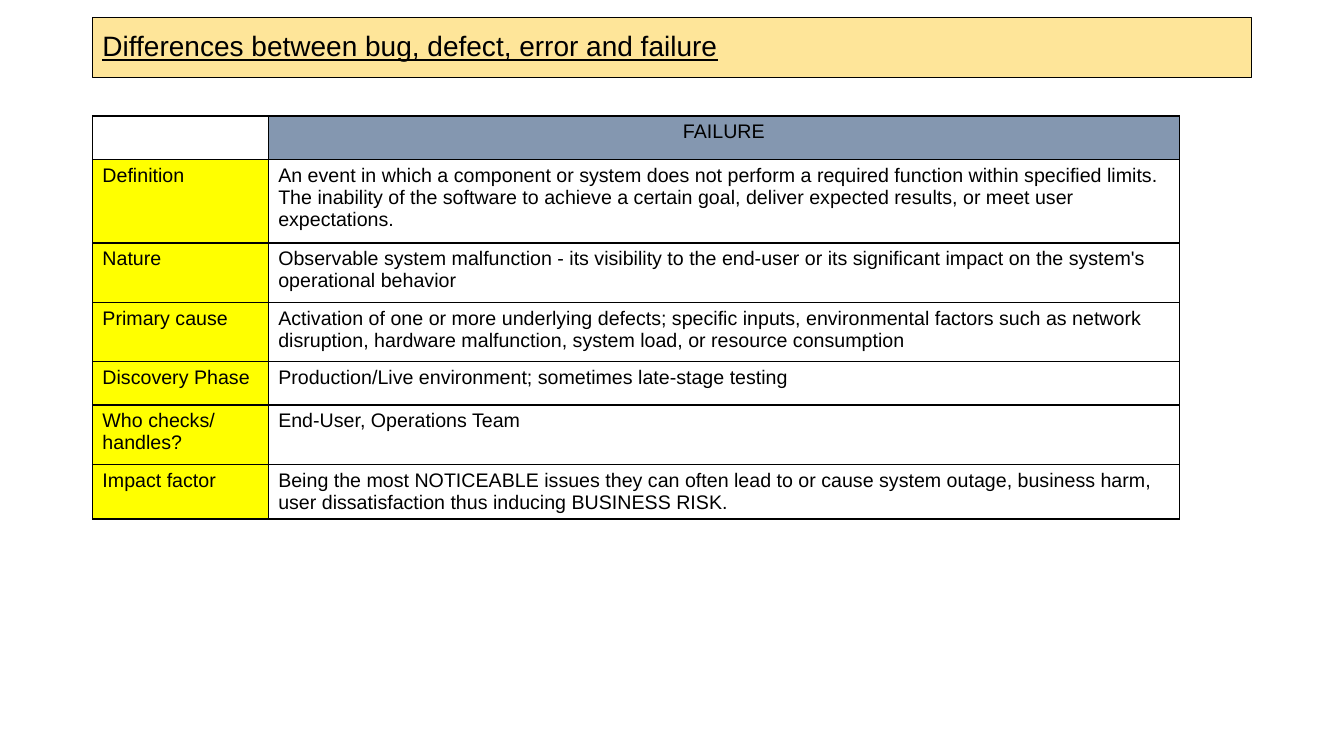
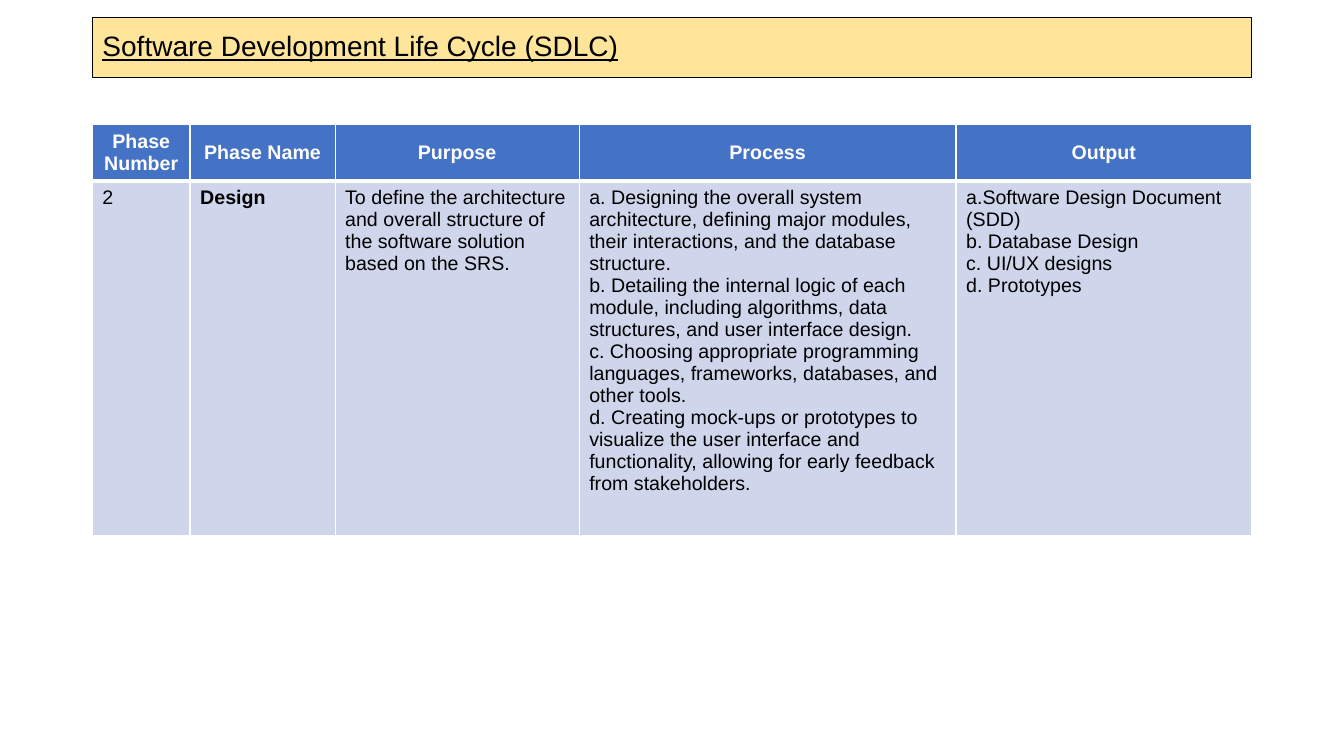
from lxml import etree
from pptx import Presentation
from pptx.dml.color import RGBColor
from pptx.enum import text
from pptx.oxml import ns
from pptx.util import Pt

FONT = "Arial"
BLACK, WHITE = "000000", "FFFFFF"
BANNER, SLATE, YELLOW = "FEE599", "8497B0", "FFFF00"
BLUE, PALE_BLUE = "4472C4", "CFD5EA"
LEFT, WIDTH = 66, 828
TITLE_BOX = (LEFT, 12.4, WIDTH, 43.2)

FAILURE_ROWS = [
    ("", "FAILURE"),
    ("Definition", "An event in which a component or system does not perform a required function "
     "within specified limits. The inability of the software to achieve a certain goal, deliver "
     "expected results, or meet user expectations."),
    ("Nature", "Observable system malfunction - its visibility to the end-user or its significant "
     "impact on the system's operational behavior"),
    ("Primary cause", "Activation of one or more underlying defects; specific inputs, environmental "
     "factors such as network disruption, hardware malfunction, system load, or resource consumption"),
    ("Discovery Phase", "Production/Live environment; sometimes late-stage testing"),
    ("Who checks/ handles?", "End-User, Operations Team"),
    ("Impact factor", "Being the most NOTICEABLE issues they can often lead to or cause system outage, "
     "business harm, user dissatisfaction thus inducing BUSINESS RISK."),
]

PHASE_ROWS = [
    ("Phase Number", "Phase Name", "Purpose", "Process", "Output"),
    ("2", "Design",
     "To define the architecture and overall structure of the software solution based on the SRS.",
     "a. Designing the overall system architecture, defining major modules, their interactions, "
     "and the database structure.\n"
     "b. Detailing the internal logic of each module, including algorithms, data structures, "
     "and user interface design.\n"
     "c. Choosing appropriate programming languages, frameworks, databases, and other tools.\n"
     "d. Creating mock-ups or prototypes to visualize the user interface and functionality, "
     "allowing for early feedback from stakeholders.",
     "a.Software Design Document (SDD)\nb. Database Design\nc. UI/UX designs\nd. Prototypes"),
]


def color(value):
    """Turn a hex string into a colour."""
    return RGBColor.from_string(value)


def add_run(paragraph, words, size, ink=BLACK, bold=False, underline=False):
    """Add one formatted run to a paragraph."""
    run = paragraph.add_run()
    run.text = words
    font = run.font
    font.name, font.size, font.bold, font.underline = FONT, Pt(size), bold, underline
    font.color.rgb = color(ink)


def add_titled_slide(presentation, title):
    """Add a title-only slide with the title in the banner."""
    slide = presentation.slides.add_slide(presentation.slide_layouts[5])
    shape = slide.shapes.title
    shape.left, shape.top, shape.width, shape.height = map(Pt, TITLE_BOX)
    shape.fill.solid()
    shape.fill.fore_color.rgb = color(BANNER)
    shape.line.color.rgb = color(BLACK)
    shape.line.width = Pt(0.75)
    frame = shape.text_frame
    frame.auto_size = text.MSO_AUTO_SIZE.NONE
    frame.word_wrap = True
    frame.vertical_anchor = text.MSO_ANCHOR.MIDDLE
    paragraph = frame.paragraphs[0]
    paragraph.alignment = text.PP_ALIGN.LEFT
    paragraph.line_spacing = 0.9
    add_run(paragraph, title, 20, underline=True)
    return slide


def set_borders(cell, ink, widths):
    """Draw the left, right, top and bottom borders of a cell."""
    properties = cell._tc.get_or_add_tcPr()
    for side, width in zip("LRTB", widths):
        line = etree.SubElement(properties, ns.qn(f"a:ln{side}"), w=str(Pt(width)))
        fill = etree.SubElement(line, ns.qn("a:solidFill"))
        etree.SubElement(fill, ns.qn("a:srgbClr"), val=ink)


def fill_cell(cell, words, fill, ink=BLACK, bold=False, centred=False, middle=False):
    """Fill a cell and write its paragraphs."""
    cell.fill.solid()
    cell.fill.fore_color.rgb = color(fill)
    cell.vertical_anchor = text.MSO_ANCHOR.MIDDLE if middle else text.MSO_ANCHOR.TOP
    if not words:
        return
    frame = cell.text_frame
    for index, line in enumerate(words.split("\n")):
        paragraph = frame.add_paragraph() if index else frame.paragraphs[0]
        paragraph.alignment = text.PP_ALIGN.CENTER if centred else text.PP_ALIGN.LEFT
        add_run(paragraph, line, 14, ink, bold)


def add_grid(slide, left, top, widths, heights):
    """Add a table with the given column widths and row heights."""
    box = map(Pt, (left, top, sum(widths), sum(heights)))
    table = slide.shapes.add_table(len(heights), len(widths), *box).table
    for column, width in zip(table.columns, widths):
        column.width = Pt(width)
    for row, height in zip(table.rows, heights):
        row.height = Pt(height)
    return table


def add_failure_table(slide, left, top):
    """Place the table that describes a failure."""
    heights = (31, 59.8, 42.4, 42.4, 31, 42.4, 39)
    table = add_grid(slide, left, top, (125.6, 651), heights)
    for r, row in enumerate(FAILURE_ROWS):
        fills = (YELLOW, WHITE) if r else (WHITE, SLATE)
        for c, words in enumerate(row):
            cell = table.cell(r, c)
            set_borders(cell, BLACK, (1, 1, 1, 1))
            fill_cell(cell, words, fills[c], centred=r == 0)


def add_phase_table(slide, left, top):
    """Place the table that describes a life cycle phase."""
    table = add_grid(slide, left, top, (69.8, 103.6, 174.4, 269.2, 211), (40.6, 253.4))
    for c, (heading, words) in enumerate(zip(*PHASE_ROWS)):
        header, body = table.cell(0, c), table.cell(1, c)
        set_borders(header, WHITE, (1, 1, 1, 3))
        fill_cell(header, heading, BLUE, WHITE, bold=True, centred=True, middle=True)
        set_borders(body, WHITE, (1, 1, 3, 1))
        fill_cell(body, words, PALE_BLUE, bold=heading == "Phase Name")


def main():
    """Build and save the presentation."""
    presentation = Presentation()
    presentation.slide_width, presentation.slide_height = Pt(960), Pt(540)
    slide = add_titled_slide(presentation, "Differences between bug, defect, error and failure")
    add_failure_table(slide, LEFT, 82.8)
    slide = add_titled_slide(presentation, "Software Development Life Cycle (SDLC)")
    add_phase_table(slide, LEFT, 88.8)
    presentation.save("out.pptx")


if __name__ == "__main__":
    main()
